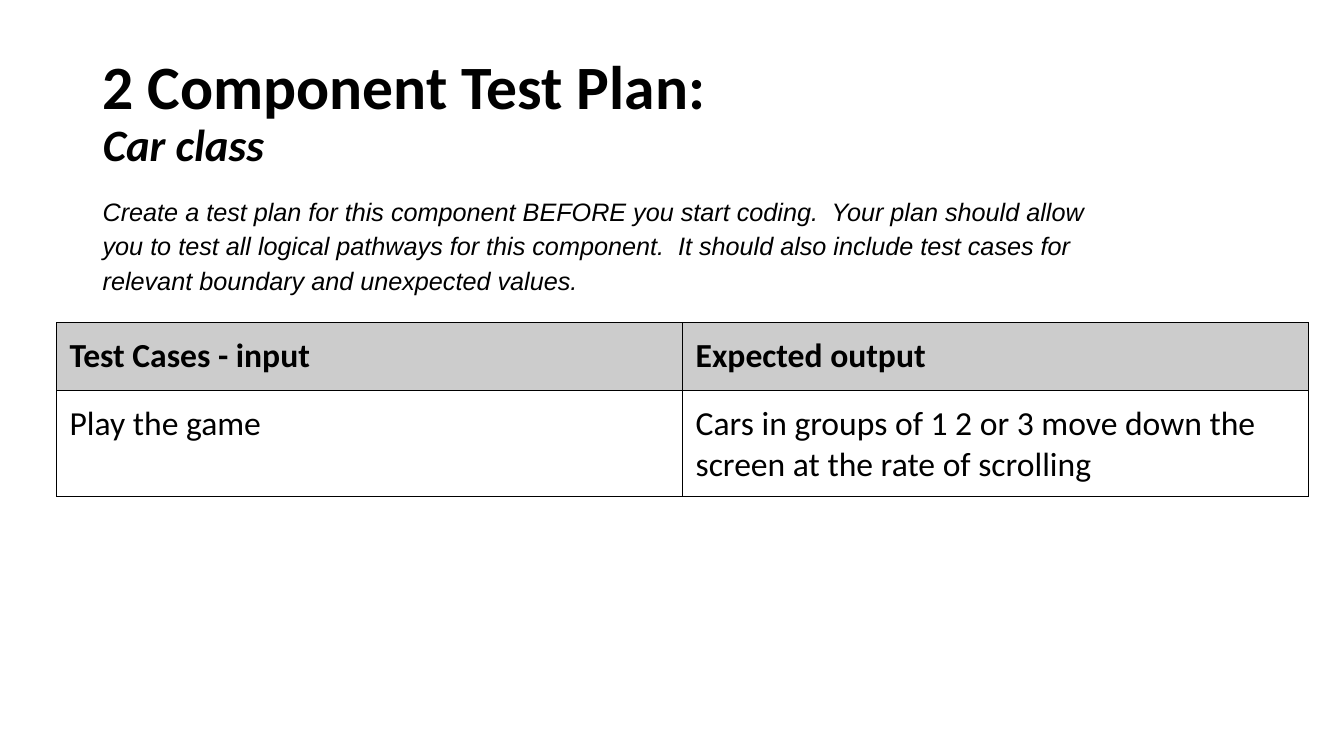
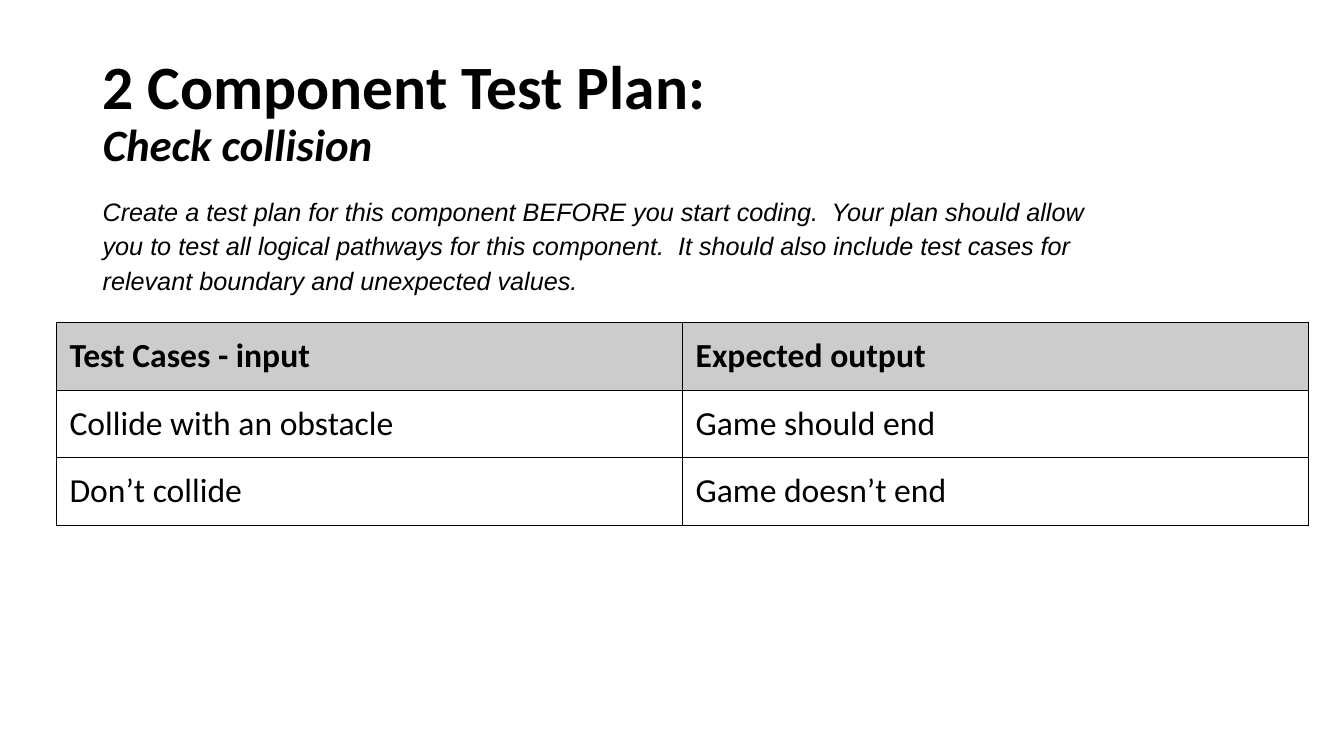
from lxml.etree import SubElement
from pptx import Presentation
from pptx.dml.color import RGBColor
from pptx.enum.text import MSO_ANCHOR, MSO_AUTO_SIZE, PP_ALIGN
from pptx.oxml.ns import qn
from pptx.util import Inches, Pt

BLACK = RGBColor(0x00, 0x00, 0x00)
HEADER_GREY = RGBColor(0xCC, 0xCC, 0xCC)

INSTRUCTIONS = (
    "Create a test plan for this component BEFORE you start coding.  "
    "Your plan should allow you to test all logical pathways for this component.  "
    "It should also include test cases for relevant boundary and unexpected values."
)
HEADER = ("Test Cases - input", "Expected output")
PLANS = [
    ("Car class", [
        ("Play the game",
         "Cars in groups of 1 2 or 3 move down the screen at the rate of scrolling"),
    ]),
    ("Check collision", [
        ("Collide with an obstacle", "Game should end"),
        ("Don’t collide", "Game doesn’t end"),
    ]),
]


class TestPlanDeck:
    HEADING_FONT = "Calibri"
    BODY_FONT = "Arial"
    LEFT = Inches(0.92)
    COL_WIDTH = Inches(6.21)
    ROW_HEIGHT = Inches(0.67)
    CELL_MARGIN = Inches(0.13)
    BORDER = Pt(0.75)

    def __init__(self):
        self.prs = Presentation()
        self.prs.slide_width = Inches(13.33)
        self.prs.slide_height = Inches(7.5)
        self.slide = None

    def add_slide(self):
        self.slide = self.prs.slides.add_slide(self.prs.slide_layouts[5])

    def style(self, run, font, size, bold=False, italic=False):
        run.font.name = font
        run.font.size = Pt(size)
        run.font.bold = bold
        run.font.italic = italic
        run.font.color.rgb = BLACK

    def title(self, component):
        sp = self.slide.shapes.title
        sp.left, sp.top = self.LEFT, Inches(0.4)
        sp.width, sp.height = Inches(11.5), Inches(1.45)
        tf = sp.text_frame
        tf.auto_size = MSO_AUTO_SIZE.NONE
        tf.vertical_anchor = MSO_ANCHOR.MIDDLE
        p = tf.paragraphs[0]
        p.text = f"2 Component Test Plan:\v{component}"
        p.alignment = PP_ALIGN.LEFT
        p.line_spacing = 0.9
        heading, name = p.runs
        self.style(heading, self.HEADING_FONT, 44, bold=True)
        self.style(name, self.HEADING_FONT, 32, bold=True, italic=True)

    def instructions(self, text):
        sp = self.slide.shapes.add_textbox(
            self.LEFT, Inches(1.85), Inches(10.33), Inches(1.12))
        tf = sp.text_frame
        tf.word_wrap = True
        tf.auto_size = MSO_AUTO_SIZE.SHAPE_TO_FIT_TEXT
        p = tf.paragraphs[0]
        p.text = text
        p.line_spacing = 1.15
        self.style(p.runs[0], self.BODY_FONT, 18, italic=True)

    def table(self, rows):
        table = self.slide.shapes.add_table(
            len(rows), len(HEADER), Inches(0.56), Inches(3.2),
            self.COL_WIDTH * len(HEADER), self.ROW_HEIGHT * len(rows)).table
        table.first_row = table.horz_banding = False
        for r, row in enumerate(rows):
            for c, text in enumerate(row):
                self.cell(table.cell(r, c), text, is_header=r == 0)

    def cell(self, cell, text, is_header):
        cell.margin_left = cell.margin_right = self.CELL_MARGIN
        cell.margin_top = cell.margin_bottom = self.CELL_MARGIN
        # Borders come before the fill in the cell properties
        self.borders(cell)
        if is_header:
            cell.fill.solid()
            cell.fill.fore_color.rgb = HEADER_GREY
        else:
            cell.fill.background()
        cell.text_frame.text = text
        run = cell.text_frame.paragraphs[0].runs[0]
        self.style(run, self.HEADING_FONT, 24, bold=is_header)

    def borders(self, cell):
        tc_pr = cell._tc.get_or_add_tcPr()
        for side in ("a:lnL", "a:lnR", "a:lnT", "a:lnB"):
            ln = SubElement(tc_pr, qn(side), w=str(self.BORDER))
            fill = SubElement(ln, qn("a:solidFill"))
            SubElement(fill, qn("a:srgbClr"), val=str(BLACK))


def main():
    deck = TestPlanDeck()
    for component, cases in PLANS:
        deck.add_slide()
        deck.title(component)
        deck.instructions(INSTRUCTIONS)
        deck.table([HEADER, *cases])
    deck.prs.save("out.pptx")


if __name__ == "__main__":
    main()
